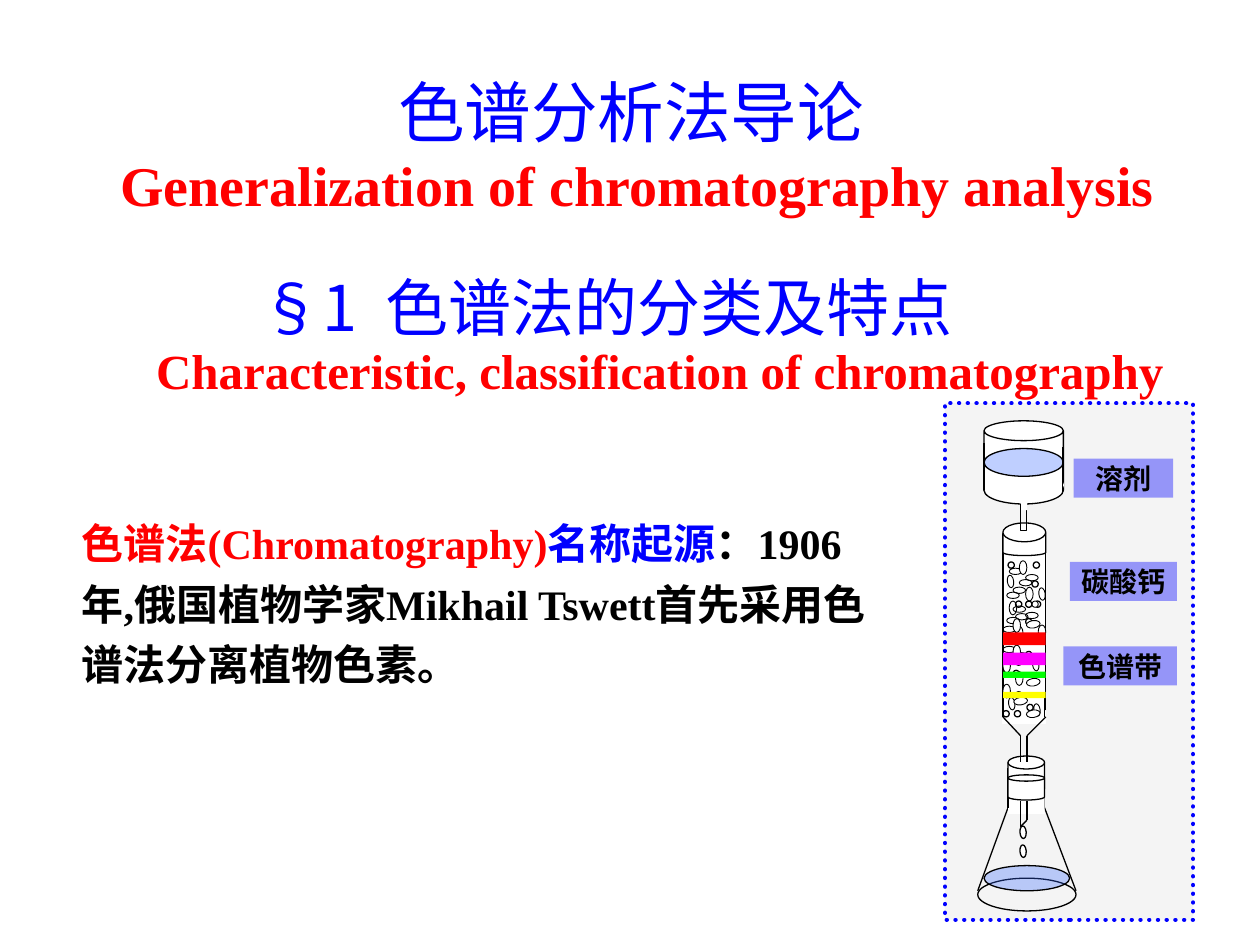
import pptx
import pptx.util
import pptx.dml.color
import pptx.enum.dml
import pptx.enum.shapes
import pptx.enum.text
import pptx.oxml.ns
import lxml.etree

RGB = pptx.dml.color.RGBColor
BLUE, RED, BLACK, WHITE = RGB(0, 0, 255), RGB(255, 0, 0), RGB(0, 0, 0), RGB(255, 255, 255)
SILVER, WATER = RGB(0xC0, 0xC0, 0xC0), RGB(0x33, 0x66, 0xFF)
YELLOW, GREEN, MAGENTA = RGB(255, 255, 0), RGB(0, 255, 0), RGB(255, 0, 255)
CJK, ROMAN = "Noto Sans CJK SC", "Times New Roman"
SHAPE = pptx.enum.shapes.MSO_SHAPE
RECT, OVAL, CAN = SHAPE.RECTANGLE, SHAPE.OVAL, SHAPE.CAN
DISK, LINE = SHAPE.FLOWCHART_MAGNETIC_DISK, None
CENTER, LEFT = pptx.enum.text.PP_ALIGN.CENTER, pptx.enum.text.PP_ALIGN.LEFT
MIDDLE, TOP = pptx.enum.text.MSO_ANCHOR.MIDDLE, pptx.enum.text.MSO_ANCHOR.TOP
qn = pptx.oxml.ns.qn

prs = pptx.Presentation()
prs.slide_width, prs.slide_height = pptx.util.Inches(10), pptx.util.Inches(7.5)
COL, ROW = prs.slide_width / 100, prs.slide_height / 75
s = prs.slides.add_slide(prs.slide_layouts[5])


def write(sp, runs, align=CENTER, anchor=MIDDLE, wrap=True, spacing=1.0):
    tf = sp.text_frame
    frame = {"word_wrap": wrap, "vertical_anchor": anchor,
             "auto_size": pptx.enum.text.MSO_AUTO_SIZE.NONE}
    for key, value in frame.items():
        setattr(tf, key, value)
    p = tf.paragraphs[0]
    p.alignment, p.line_spacing = align, spacing
    for text, size, name, color, bold in runs:
        if text.startswith("\n"):
            p.add_line_break()
        r = p.add_run()
        r.text = text.lstrip("\n")
        for key, value in {"size": pptx.util.Pt(size), "name": name, "bold": bold}.items():
            setattr(r.font, key, value)
        r.font.color.rgb = color
        lxml.etree.SubElement(r.font._element, qn("a:ea")).set("typeface", CJK)


def draw(kind, x, y, w, h, fill=None, line=BLACK, width=0.75, alpha=100, rot=0):
    box = [int(x * COL), int(y * ROW), int(w * COL), int(h * ROW)]
    if kind is LINE:
        sp = parts.add_connector(pptx.enum.shapes.MSO_CONNECTOR.STRAIGHT, *box)
        lxml.etree.SubElement(sp.element.spPr, qn("a:effectLst"))
    else:
        sp = parts.add_shape(kind, *box)
        sp.shadow.inherit = False
        sp.rotation = rot
        if fill is None:
            sp.fill.background()
        else:
            sp.fill.solid()
            sp.fill.fore_color.rgb = fill
        if alpha < 100:
            clr = sp.element.spPr.find(qn("a:solidFill"))[0]
            lxml.etree.SubElement(clr, qn("a:alpha")).set("val", str(alpha * 1000))
    if line is None:
        sp.line.fill.background()
    else:
        sp.line.color.rgb = line
        sp.line.width = pptx.util.Pt(width)
    return sp


title = s.shapes.title
box = {"left": 5.1 * COL, "top": 5.2 * ROW, "width": 90 * COL, "height": 12.5 * ROW}
for key, value in box.items():
    setattr(title, key, int(value))
write(title, [("色谱分析法导论", 38, CJK, BLUE, False),
              ("\n Generalization of chromatography analysis", 32, ROMAN, RED, True)])

texts = [
    ((10.6, 21, 75, 6.7), [("§1  色谱法的分类及特点", 36, CJK, BLUE, False)],
     {"wrap": False}),
    ((5.5, 39.8, 65.4, 15.4),
     [("色谱法(Chromatography)", 24, ROMAN, RED, True),
      ("名称起源", 24, ROMAN, BLUE, True),
      ("：1906年,俄国植物学家Mikhail Tswett首先采用色谱法分离植物色素。", 24, ROMAN, BLACK, True)],
     {"align": LEFT, "anchor": TOP, "spacing": 1.2}),
    ((11.4, 26.5, 83.5, 5.7),
     [("Characteristic, classification of chromatography", 28, ROMAN, RED, True)],
     {"align": LEFT, "anchor": TOP}),
]
for (x, y, w, h), runs, fmt in texts:
    sp = s.shapes.add_textbox(int(x * COL), int(y * ROW), int(w * COL), int(h * ROW))
    write(sp, runs, **fmt)

parts = s.shapes.add_group_shape().shapes
panel = draw(RECT, 75, 32, 19.7, 41, SILVER, BLUE, 2.5, 16)
panel.line.dash_style = pptx.enum.dml.MSO_LINE.ROUND_DOT
panel.element.spPr.get_or_add_ln().set("cap", "rnd")

apparatus = [
    (RECT, 79.6, 43.6, 3.4, 13.3, WHITE),
    (RECT, 79.6, 56.4, 3.4, 1, WHITE, WHITE),
    (LINE, 79.6, 56.9, 79.6, 54.9),
    (LINE, 82.9, 56.9, 82.9, 54.9),
    (LINE, 81, 58.4, 79.6, 56.9),
    (LINE, 81.5, 58.4, 83, 56.9),
    (RECT, 80, 61, 2.9, 3.1, WHITE),
    (OVAL, 77.6, 69.7, 7.8, 2.6),
    (LINE, 77.6, 70.7, 80, 64.1),
    (LINE, 85.4, 70.7, 82.9, 64.1),
    (RECT, 80, 63, 2.9, 1.6, WHITE, None),
    (LINE, 80, 64.1, 80, 62.5),
    (OVAL, 78.1, 68.7, 6.8, 2, WATER, BLACK, 0.75, 31),
    (DISK, 80, 60, 2.9, 3.1, WHITE),
    (LINE, 81, 63.6, 81, 65.6),
    (LINE, 81.5, 63.6, 81.5, 65.1),
    (CAN, 80, 61.5, 2.9, 2, WHITE),
    (LINE, 81.5, 65.1, 81, 65.6),
    (OVAL, 80.7, 67.3, 1, 0.5, WHITE, BLACK, 0.75, 100, 266),
    (LINE, 81, 58.4, 81, 60.5),
    (LINE, 81.5, 58.4, 81.5, 60.5),
    (OVAL, 80.7, 65.8, 1, 0.5, WHITE, BLACK, 0.75, 100, 266),
    (CAN, 79.6, 42.1, 3.4, 2, WHITE),
    (OVAL, 79.6, 41.5, 3.4, 1.5, WHITE),
    (RECT, 81, 38, 0.5, 4.1, None, BLACK, 0.5),
    (CAN, 78.1, 33.4, 6.3, 6.3, WHITE),
    (OVAL, 78.1, 37.8, 6.3, 2.2, WHITE),
    (OVAL, 78.1, 37.4, 6.3, 2.2, WHITE, WHITE),
    (OVAL, 78.1, 35.6, 6.3, 2.2, WATER, BLACK, 0.75, 31),
    (LINE, 78.1, 38.9, 78.1, 35.2),
    (LINE, 84.3, 39.2, 84.3, 35.5),
    (RECT, 81, 39.5, 0.5, 1, WHITE, None),
    (LINE, 81, 41, 81, 40, None, BLACK, 0.5),
]
for part in apparatus:
    draw(*part)

FLAT, TALL = (1, 0.5, None, BLACK, 0.5), (0.6, 1.1, WHITE, BLACK, 0.5)
DOT, BEAD = (0.5, 0.5, None, BLACK, 0.75), (0.5, 0.5, WHITE, BLACK, 0.5)
grains = [
    (FLAT, 0, [(80.1, 45.1), (80.9, 46), (79.6, 51.3), (80.6, 51.8), (80.6, 48.7),
               (79.6, 49.7), (79.9, 49)]),
    (TALL, 0, [(80.6, 49.7), (80.6, 53.3), (79.6, 52.3), (79.6, 54.3), (80.1, 47.7)]),
    (DOT, 0, [(79.6, 56.4), (80.6, 54.9), (80.6, 52.3), (80.6, 47.7)]),
    (TALL, 0, [(81.4, 46.6)]),
    (FLAT, 0, [(80.4, 48.1), (81.4, 48.6), (81.4, 45.6), (80.4, 46.6), (79.9, 47)]),
    (TALL, 0, [(82.4, 49.6), (80.4, 49.1), (80.4, 51.2), (80.9, 44.5)]),
    (DOT, 0, [(80.4, 53.2), (81.4, 51.7), (81.4, 49.1), (82.1, 47.7), (82, 44.6)]),
    (TALL, 82, [(81.7, 49)]),
    (FLAT, 82, [(79.7, 45.9), (81.8, 56.1), (81.7, 52.5), (79.8, 55.6), (82.2, 46.9)]),
    (TALL, 82, [(81.7, 56.1), (81.7, 53.6)]),
    (BEAD, 82, [(81.9, 47.7)]),
    (TALL, 82, [(80.7, 55.1)]),
    (DOT, 82, [(80.5, 56.4), (81.5, 55.9), (81.9, 46.1), (80, 44.6), (81.4, 47.7)]),
]
for style, rot, places in grains:
    for x, y in places:
        draw(OVAL, x, y, *style, rot=rot)

for y, h, color in [(54.9, 0.5, YELLOW), (53.3, 0.5, GREEN), (51.8, 1, MAGENTA), (50.2, 1, RED)]:
    draw(RECT, 79.6, y, 3.4, h, color, None)
draw(LINE, 79.6, 55.4, 79.6, 45.7, width=0.5)

labels = [("溶剂", 85.2, 36.4, 7.9), ("碳酸钙", 84.9, 44.6, 8.5), ("色谱带", 84.4, 51.3, 9)]
for text, x, y, w in labels:
    sp = draw(RECT, x, y, w, 3.1, BLUE, None, alpha=39)
    write(sp, [(text, 16, "Arial", BLACK, True)], wrap=False)

prs.save("out.pptx")
